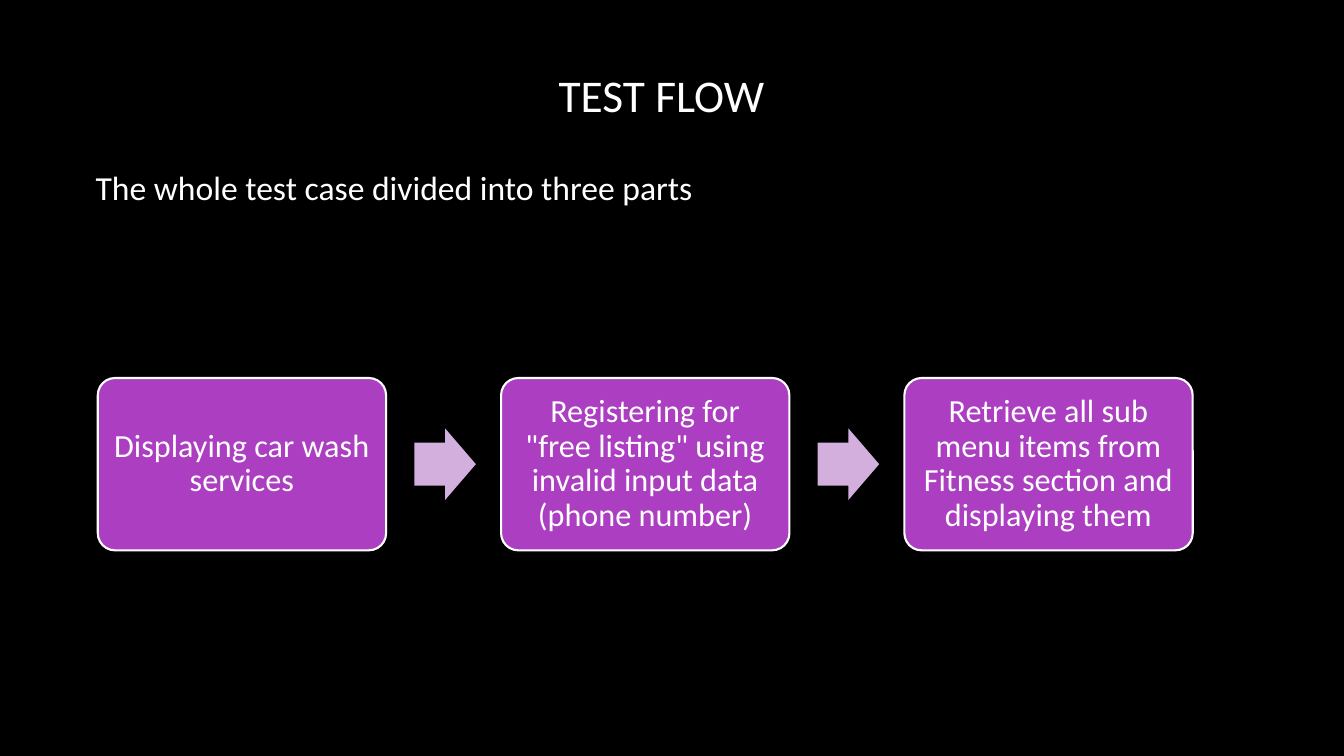
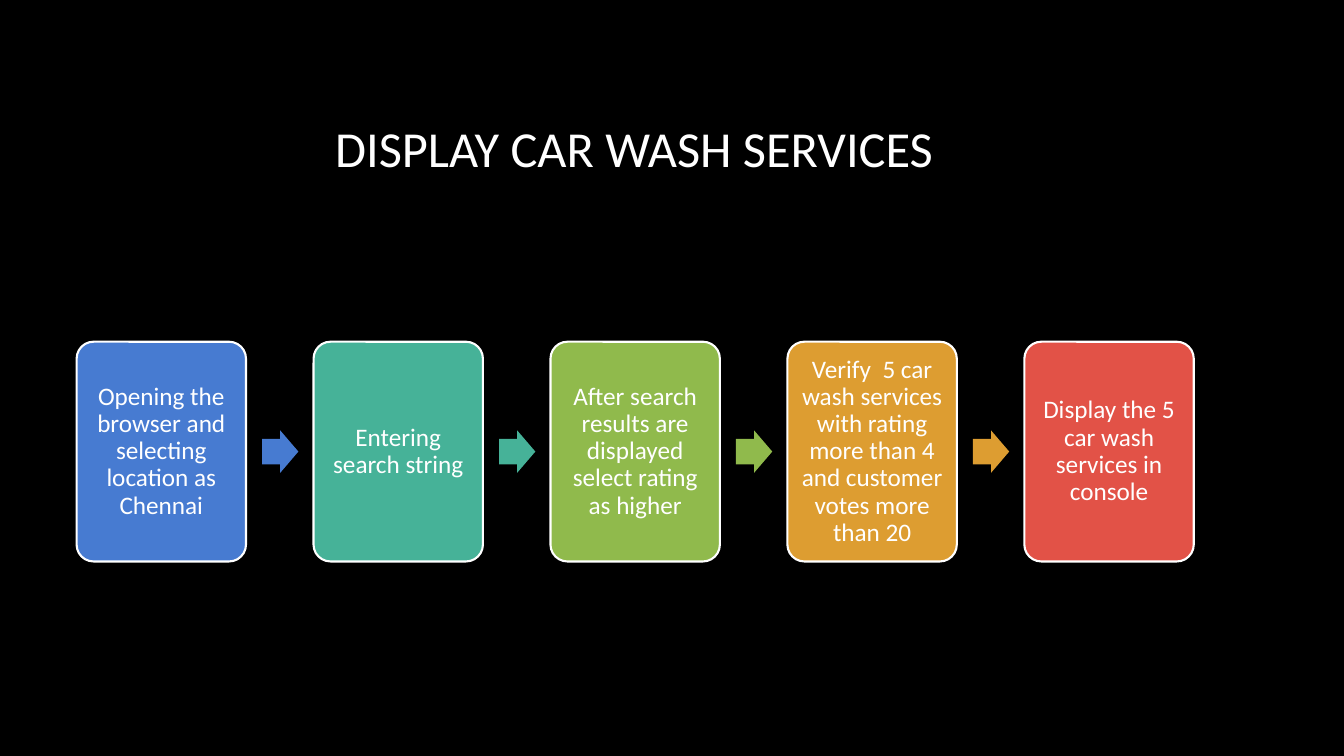
import pptx
import pptx.util
import pptx.dml.color
import pptx.enum.shapes
import pptx.enum.text
from dataclasses import dataclass

Inches = pptx.util.Inches
Shape = pptx.enum.shapes.MSO_SHAPE
Align = pptx.enum.text.PP_ALIGN
Anchor = pptx.enum.text.MSO_ANCHOR


@dataclass(frozen=True)
class Theme:
    font: str = "Calibri"
    back: str = "000000"
    text: str = "FFFFFF"
    purple: str = "AC3EC1"
    lilac: str = "D2AFDD"
    blue: str = "477BD1"
    teal: str = "46B298"
    green: str = "90BA4C"
    amber: str = "DD9D31"
    red: str = "E25247"
    border: float = 1.5
    title: float = 36
    small: float = 32.4
    body: float = 24
    large: float = 23
    step: float = 18


theme = Theme()


def write(shape, text, size, align=Align.CENTER, pad=0.1, space=1.0):
    frame = shape.text_frame
    pads = {"margin_" + side: Inches(pad) for side in ("left", "right", "top", "bottom")}
    for name, value in {"word_wrap": True, "vertical_anchor": Anchor.MIDDLE, **pads}.items():
        setattr(frame, name, value)
    para = frame.paragraphs[0]
    para.alignment = align
    para.line_spacing = space
    run = para.add_run()
    run.text = text
    for name, value in {"name": theme.font, "size": pptx.util.Pt(size)}.items():
        setattr(run.font, name, value)
    run.font.color.rgb = pptx.dml.color.RGBColor.from_string(theme.text)


def block(slide, kind, area, color, adjust):
    shape = slide.shapes.add_shape(kind, *map(Inches, area))
    shape.shadow.inherit = False
    shape.fill.solid()
    shape.fill.fore_color.rgb = pptx.dml.color.RGBColor.from_string(color)
    for index, value in enumerate(adjust):
        shape.adjustments[index] = value
    shape.line.fill.background()
    return shape


slides = [
    {
        "labels": [
            ("TEST FLOW", (0.34, 0.67, 12.44, 0.53), theme.small, Align.CENTER),
            ("The whole test case divided into three parts",
             (0.85, 1.53, 11.98, 0.66), theme.body, Align.LEFT),
        ],
        "box": (0.97, 3.75, 2.86, 1.71),
        "pitch": 4.0,
        "arrow": (0.28, 0.61, 0.71),
        "size": theme.large,
        "pad": 0.1,
        "steps": [
            ("Displaying car wash services", theme.purple, theme.lilac),
            ('Registering for "free listing" using invalid input data (phone number)',
             theme.purple, theme.lilac),
            ("Retrieve all sub menu items from Fitness section and displaying them",
             theme.purple, theme.lilac),
        ],
    },
    {
        "labels": [
            ("DISPLAY CAR WASH SERVICES", (0.75, 0.67, 11.08, 1.59), theme.title, Align.CENTER),
        ],
        "box": (0.76, 3.39, 1.68, 2.18),
        "pitch": 2.35,
        "arrow": (0.16, 0.36, 0.42),
        "size": theme.step,
        "pad": 0.07,
        "steps": [
            ("Opening the browser and selecting location as Chennai", theme.blue, theme.blue),
            ("Entering search string", theme.teal, theme.teal),
            ("After search results are displayed select rating as higher",
             theme.green, theme.green),
            ("Verify  5 car wash services with rating more than 4 and customer votes more than 20",
             theme.amber, theme.amber),
            ("Display the 5 car wash services in console", theme.red, theme.red),
        ],
    },
]

deck = pptx.Presentation()
deck.slide_width = Inches(13.33)
deck.slide_height = Inches(7.5)

for page in slides:
    slide = deck.slides.add_slide(deck.slide_layouts[6])
    slide.background.fill.solid()
    slide.background.fill.fore_color.rgb = pptx.dml.color.RGBColor.from_string(theme.back)

    for text, area, size, align in page["labels"]:
        write(slide.shapes.add_textbox(*map(Inches, area)), text, size, align)

    left, top, width, height = page["box"]
    gap, long, tall = page["arrow"]
    for index, (text, color, tint) in enumerate(page["steps"]):
        x = left + index * page["pitch"]
        box = block(slide, Shape.ROUNDED_RECTANGLE, (x, top, width, height), color, [0.1])
        box.line.color.rgb = pptx.dml.color.RGBColor.from_string(theme.text)
        box.line.width = pptx.util.Pt(theme.border)
        write(box, text, page["size"], pad=page["pad"], space=0.9)
        if index < len(page["steps"]) - 1:
            spot = (x + width + gap, top + (height - tall) / 2, long, tall)
            block(slide, Shape.RIGHT_ARROW, spot, tint, [0.6, 0.5])

deck.save("out.pptx")
